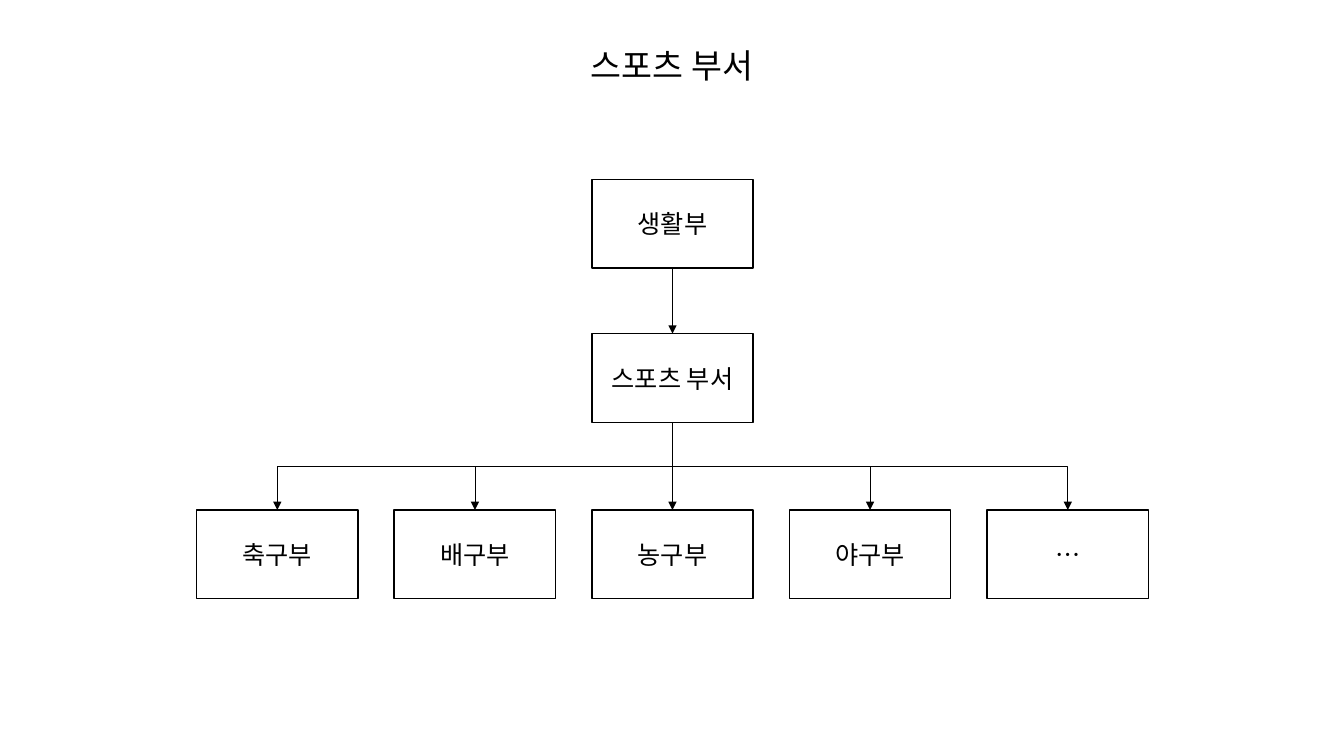
import dataclasses

import lxml.etree
import pptx
import pptx.dml.color
import pptx.enum.shapes
import pptx.enum.text
import pptx.oxml.ns
import pptx.util

PX = 9144  # 100 px to the inch
BOX_W, BOX_H = 160, 88
MID_X = 587
PITCH = 196
CLUBS = ["축구부", "배구부", "농구부", "야구부", "…"]


@dataclasses.dataclass(frozen=True)
class Theme:
    font: str = "Noto Sans CJK KR"
    ink: pptx.dml.color.RGBColor = pptx.dml.color.RGBColor(0, 0, 0)
    paper: pptx.dml.color.RGBColor = pptx.dml.color.RGBColor(255, 255, 255)
    title: int = 24
    label: int = 18
    edge: float = 1
    link: float = 0.5


THEME = Theme()


def px(count):
    return pptx.util.Emu(count * PX)


def add_tag(parent, name, **attrs):
    return lxml.etree.SubElement(parent, pptx.oxml.ns.qn(name), attrs)


def set_text(shape, text, size):
    """Write one centred line, with the font set for Hangul too."""
    shape.text_frame.text = text
    para = shape.text_frame.paragraphs[0]
    para.alignment = pptx.enum.text.PP_ALIGN.CENTER
    run = para.runs[0]
    run.font.size = pptx.util.Pt(size)
    run.font.color.rgb = THEME.ink
    run.font.name = THEME.font
    add_tag(run.font._element, "a:ea", typeface=THEME.font)


def add_title(slide, text):
    title = slide.shapes.add_textbox(px(573), px(40), px(187), px(50))
    set_text(title, text, THEME.title)
    title.text_frame.word_wrap = False
    title.text_frame.auto_size = pptx.enum.text.MSO_AUTO_SIZE.SHAPE_TO_FIT_TEXT


def add_box(slide, text, left, top):
    box = slide.shapes.add_shape(
        pptx.enum.shapes.MSO_SHAPE.RECTANGLE,
        px(left), px(top), px(BOX_W), px(BOX_H))
    box.shadow.inherit = False
    box.fill.solid()
    box.fill.fore_color.rgb = THEME.paper
    box.line.color.rgb = THEME.ink
    box.line.width = pptx.util.Pt(THEME.edge)
    box.text_frame.vertical_anchor = pptx.enum.text.MSO_ANCHOR.MIDDLE
    set_text(box, text, THEME.label)
    return box


def turn_elbow(link):
    """Turn an elbow so that it leaves and arrives vertically."""
    right = link.end_x > link.begin_x
    mid_x = (link.begin_x + link.end_x) // 2
    mid_y = (link.begin_y + link.end_y) // 2
    span, drop = link.width, link.height
    link.left, link.top = mid_x - drop // 2, mid_y - span // 2
    link.width, link.height = drop, span
    frame = link._element.spPr.find(pptx.oxml.ns.qn("a:xfrm"))
    frame.set("rot", str((270 if right else 90) * 60000))
    frame.set("flipH", "1" if right else "0")


def add_arrow(slide, upper, lower):
    """Join the bottom of one box to the top of another."""
    kinds = pptx.enum.shapes.MSO_CONNECTOR
    straight = upper.left == lower.left
    link = slide.shapes.add_connector(
        kinds.STRAIGHT if straight else kinds.ELBOW, 0, 0, 0, 0)
    link.begin_connect(upper, 2)
    link.end_connect(lower, 0)
    if not straight:
        turn_elbow(link)
    link.line.color.rgb = THEME.ink
    link.line.width = pptx.util.Pt(THEME.link)
    add_tag(link.line._get_or_add_ln(), "a:tailEnd", type="triangle")
    add_tag(link._element.spPr, "a:effectLst")


def main():
    deck = pptx.Presentation()
    deck.slide_width, deck.slide_height = px(1333), px(750)
    slide = deck.slides.add_slide(deck.slide_layouts[6])

    add_title(slide, "스포츠 부서")
    life = add_box(slide, "생활부", MID_X, 178)
    sports = add_box(slide, "스포츠 부서", MID_X, 331)
    add_arrow(slide, life, sports)
    for i, name in enumerate(CLUBS):
        left = MID_X + (i - len(CLUBS) // 2) * PITCH
        add_arrow(slide, sports, add_box(slide, name, left, 506))

    deck.save("out.pptx")


if __name__ == "__main__":
    main()
